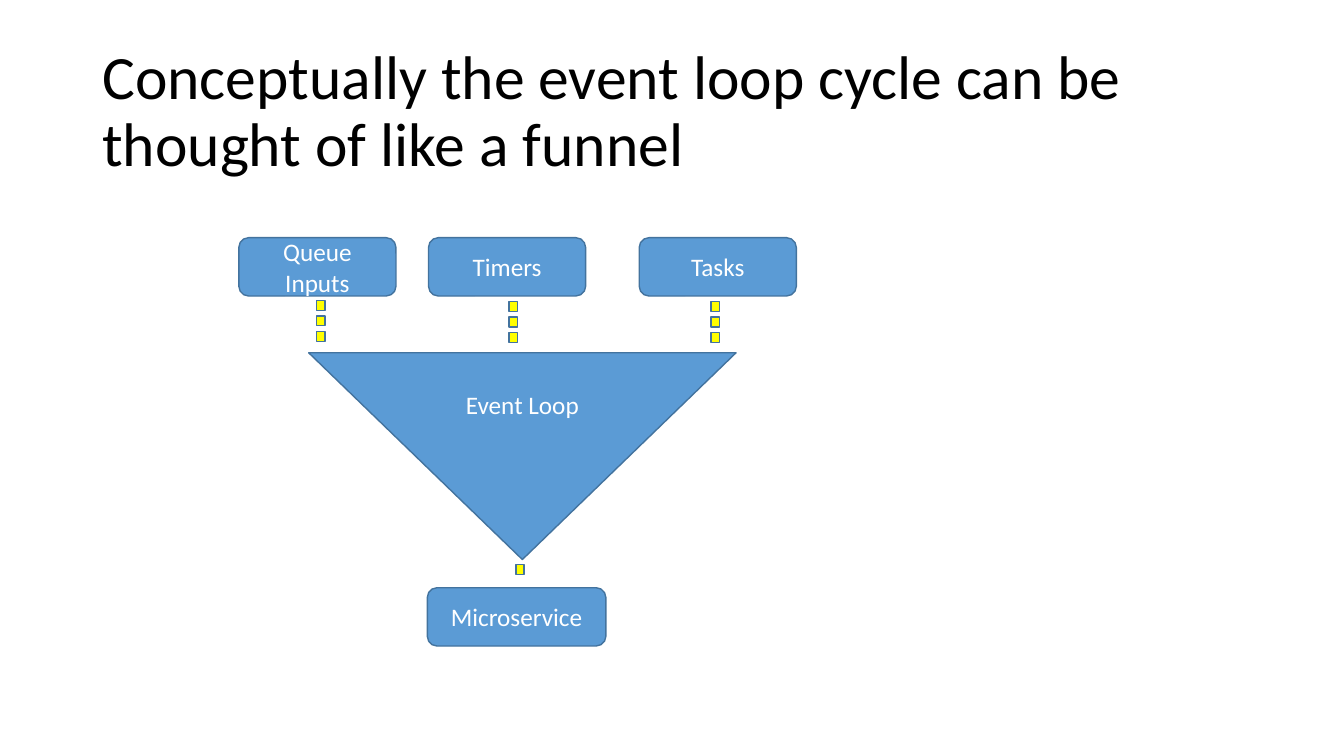
import pptx
import pptx.util
import pptx.dml.color
import pptx.enum.shapes
import pptx.enum.text
from dataclasses import dataclass

Cm = pptx.util.Cm
SHAPE = pptx.enum.shapes.MSO_SHAPE
ALIGN = pptx.enum.text.PP_ALIGN


@dataclass(frozen=True)
class Theme:
    font: str = "Calibri"
    title_size: int = 44
    label_size: int = 18
    line_width: int = 1
    title: str = "000000"
    label: str = "FFFFFF"
    fill: str = "5B9BD5"
    line: str = "43739E"
    event: str = "FFFF00"


THEME = Theme()
BOX_H = 1.47
EVENT_W, EVENT_H, EVENT_STEP = 0.21, 0.25, 0.39


def rgb(value):
    return pptx.dml.color.RGBColor.from_string(value)


def write(sp, text, size=THEME.label_size, color=THEME.label,
          align=ALIGN.CENTER, spacing=1.0):
    tf = sp.text_frame
    tf.word_wrap = True
    tf.vertical_anchor = pptx.enum.text.MSO_ANCHOR.MIDDLE
    p = tf.paragraphs[0]
    p.alignment = align
    p.line_spacing = spacing
    r = p.add_run()
    r.text = text
    r.font.name = THEME.font
    r.font.size = pptx.util.Pt(size)
    r.font.color.rgb = rgb(color)


def add_title(s, text, x, y, w, h):
    sp = s.shapes.add_textbox(Cm(x), Cm(y), Cm(w), Cm(h))
    write(sp, text, size=THEME.title_size, color=THEME.title,
          align=ALIGN.LEFT, spacing=0.9)


def add_block(s, kind, x, y, w, h, text=None, fill=THEME.fill):
    sp = s.shapes.add_shape(kind, Cm(x), Cm(y), Cm(w), Cm(h))
    sp.shadow.inherit = False
    sp.fill.solid()
    sp.fill.fore_color.rgb = rgb(fill)
    sp.line.color.rgb = rgb(THEME.line)
    sp.line.width = pptx.util.Pt(THEME.line_width)
    if text:
        write(sp, text)


def add_events(s, x, y, count):
    for i in range(count):
        add_block(s, SHAPE.RECTANGLE, x, y + i * EVENT_STEP,
                  EVENT_W, EVENT_H, fill=THEME.event)


def main():
    prs = pptx.Presentation()
    prs.slide_width, prs.slide_height = Cm(33.87), Cm(19.05)
    s = prs.slides.add_slide(prs.slide_layouts[6])

    add_title(s, "Conceptually the event loop cycle can be thought of like a funnel",
              2.33, 1.01, 29.21, 3.68)

    # Funnel
    add_block(s, SHAPE.FLOWCHART_MERGE, 7.78, 8.89, 10.77, 5.21, "Event Loop")

    # Sources, each with its queue of events: label, box left, events left, events top
    sources = [
        ("Queue Inputs", 6.02, 7.98, 7.57),
        ("Timers", 10.8, 12.83, 7.6),
        ("Tasks", 16.11, 17.92, 7.6),
    ]
    for label, box_x, events_x, events_y in sources:
        add_block(s, SHAPE.ROUNDED_RECTANGLE, box_x, 5.99, 3.96, BOX_H, label)
        add_events(s, events_x, events_y, 3)

    # Output of the funnel
    add_block(s, SHAPE.ROUNDED_RECTANGLE, 10.77, 14.81, 4.5, BOX_H, "Microservice")
    add_events(s, 13.0, 14.23, 1)

    prs.save("out.pptx")


if __name__ == "__main__":
    main()
